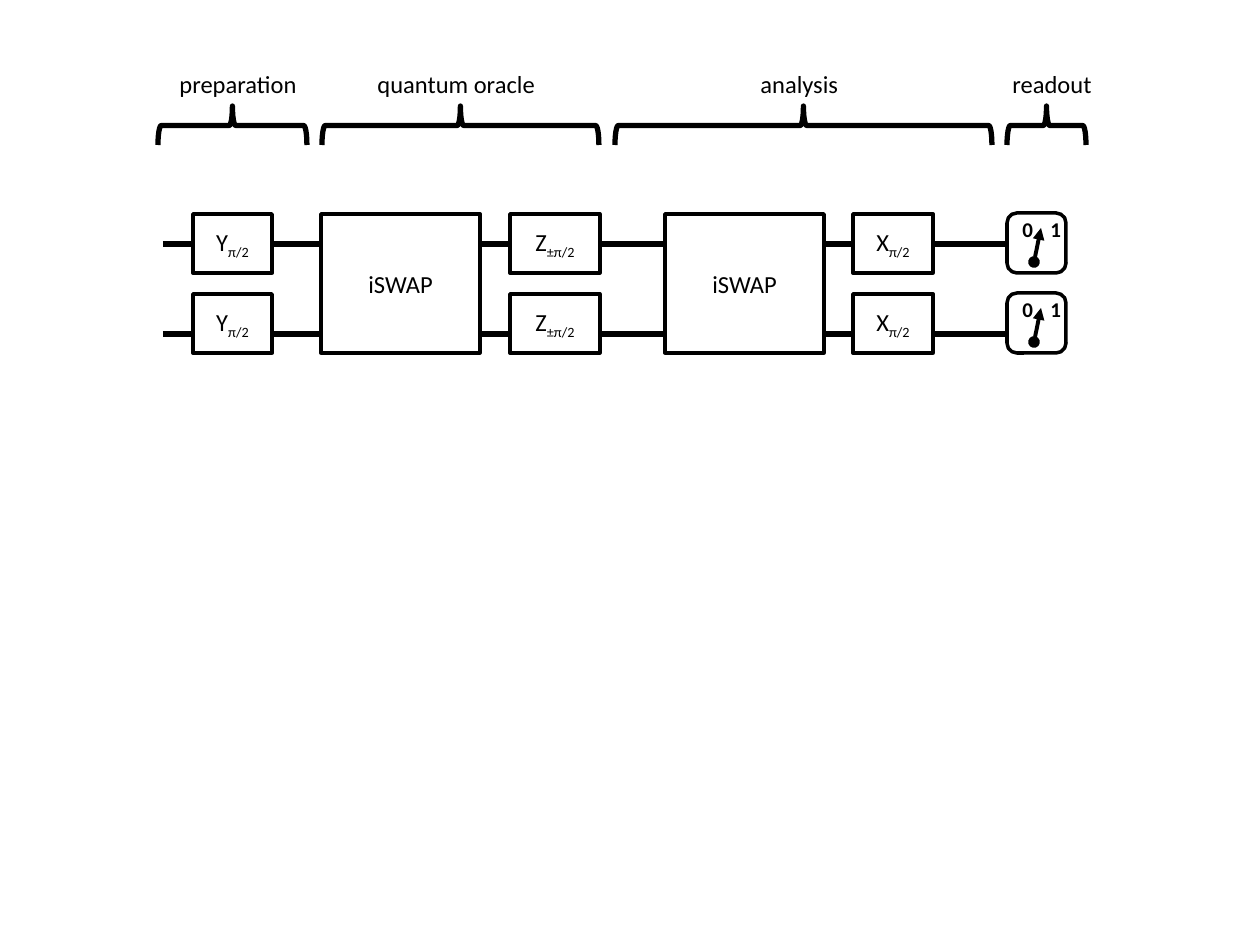
from typing import NamedTuple

import lxml.etree
import pptx
import pptx.dml.color
import pptx.enum.shapes
import pptx.enum.text
import pptx.oxml.ns
import pptx.util

PIXELS_PER_INCH = 126
BLACK = pptx.dml.color.RGBColor(0x00, 0x00, 0x00)
WHITE = pptx.dml.color.RGBColor(0xFF, 0xFF, 0xFF)
FONT = "Calibri"
SHAPES = pptx.enum.shapes.MSO_SHAPE

BRACE_TOP, BRACE_HEIGHT = 106, 39
LABEL_TOP, LABEL_HEIGHT = 63, 43
ROW_TOP, ROW_PITCH = 214, 80
GATE_HEIGHT = 59
WIRE_LEFT = 163


class Stage(NamedTuple):
    label: str
    label_left: int
    label_width: int
    brace_left: int
    brace_width: int


class Gate(NamedTuple):
    name: str
    subscript: str
    left: int
    width: int


class Wire(NamedTuple):
    right: int
    y: int


STAGES = [
    Stage("preparation", 167, 144, 158, 149),
    Stage("quantum oracle", 365, 184, 322, 277),
    Stage("analysis", 748, 105, 615, 377),
    Stage("readout", 1000, 106, 1007, 79),
]
WIRES = [Wire(1047, 244), Wire(1066, 334)]
SINGLE_GATES = [
    Gate("Y", "π/2", 193, 79),
    Gate("Z", "±π/2", 510, 90),
    Gate("X", "π/2", 853, 80),
]
DOUBLE_GATES = [Gate("iSWAP", "", left, 159) for left in (321, 665)]


def px(length: int) -> pptx.util.Emu:
    return pptx.util.Emu(round(length * 914400 / PIXELS_PER_INCH))


def box(left: int, top: int, width: int, height: int) -> tuple:
    return px(left), px(top), px(width), px(height)


def style_font(paragraph, size: int, bold: bool = False) -> None:
    paragraph.font.name = FONT
    paragraph.font.size = pptx.util.Pt(size)
    paragraph.font.bold = bold
    paragraph.font.color.rgb = BLACK


def add_outlined(slide, kind, left: int, top: int, width: int, height: int):
    shape = slide.shapes.add_shape(kind, *box(left, top, width, height))
    shape.shadow.inherit = False
    shape.fill.solid()
    shape.fill.fore_color.rgb = WHITE
    shape.line.color.rgb = BLACK
    shape.line.width = pptx.util.Pt(2)
    return shape


def add_line(slide, start: tuple[int, int], end: tuple[int, int], weight: float):
    connector = slide.shapes.add_connector(
        pptx.enum.shapes.MSO_CONNECTOR.STRAIGHT, *map(px, start + end)
    )
    connector.line.color.rgb = BLACK
    connector.line.width = pptx.util.Pt(weight)
    properties = connector._element.spPr
    lxml.etree.SubElement(properties, pptx.oxml.ns.qn("a:effectLst"))
    return connector


def add_label(slide, text: str, left: int, top: int, width: int, height: int,
              size: int, bold: bool = False) -> None:
    label = slide.shapes.add_textbox(*box(left, top, width, height))
    frame = label.text_frame
    frame.word_wrap = False
    frame.auto_size = pptx.enum.text.MSO_AUTO_SIZE.SHAPE_TO_FIT_TEXT
    frame.text = text
    style_font(frame.paragraphs[0], size, bold)


def add_stage(slide, stage: Stage) -> None:
    add_label(slide, stage.label, stage.label_left, LABEL_TOP,
              stage.label_width, LABEL_HEIGHT, 14)
    inset = (stage.brace_width - BRACE_HEIGHT) // 2
    brace = add_outlined(slide, SHAPES.RIGHT_BRACE, stage.brace_left + inset,
                         BRACE_TOP - inset, BRACE_HEIGHT, stage.brace_width)
    brace.rotation = 270
    brace.fill.background()
    brace.line.width = pptx.util.Pt(3)


def add_gate(slide, gate: Gate, top: int, height: int) -> None:
    shape = add_outlined(slide, SHAPES.RECTANGLE, gate.left, top, gate.width, height)
    shape.text_frame.vertical_anchor = pptx.enum.text.MSO_ANCHOR.MIDDLE
    paragraph = shape.text_frame.paragraphs[0]
    paragraph.alignment = pptx.enum.text.PP_ALIGN.CENTER
    paragraph.add_run().text = gate.name
    if gate.subscript:
        run = paragraph.add_run()
        run.text = gate.subscript
        run._r.get_or_add_rPr().set("baseline", "-25000")
    style_font(paragraph, 14)


def add_meter(slide, top: int) -> None:
    add_outlined(slide, SHAPES.ROUNDED_RECTANGLE, 1007, top, 59, 60)
    needle = add_line(slide, (1034, top + 49), (1041, top + 15), 2.25)
    line = needle.line._get_or_add_ln()
    for tag, kind in (("a:headEnd", "oval"), ("a:tailEnd", "triangle")):
        lxml.etree.SubElement(line, pptx.oxml.ns.qn(tag), type=kind)
    for digit, left in (("1", 1038), ("0", 1010)):
        add_label(slide, digit, left, top - 3, 28, 29, 12, bold=True)


def main() -> None:
    presentation = pptx.Presentation()
    presentation.slide_width = px(1260)
    presentation.slide_height = px(945)
    slide = presentation.slides.add_slide(presentation.slide_layouts[6])

    for wire in WIRES:
        add_line(slide, (WIRE_LEFT, wire.y), (wire.right, wire.y), 3)
    for stage in STAGES:
        add_stage(slide, stage)
    for gate in DOUBLE_GATES:
        add_gate(slide, gate, ROW_TOP, ROW_PITCH + GATE_HEIGHT)
    for row in range(2):
        top = ROW_TOP + row * ROW_PITCH
        for gate in SINGLE_GATES:
            add_gate(slide, gate, top, GATE_HEIGHT)
        add_meter(slide, top - 1)

    presentation.save("out.pptx")


if __name__ == "__main__":
    main()
